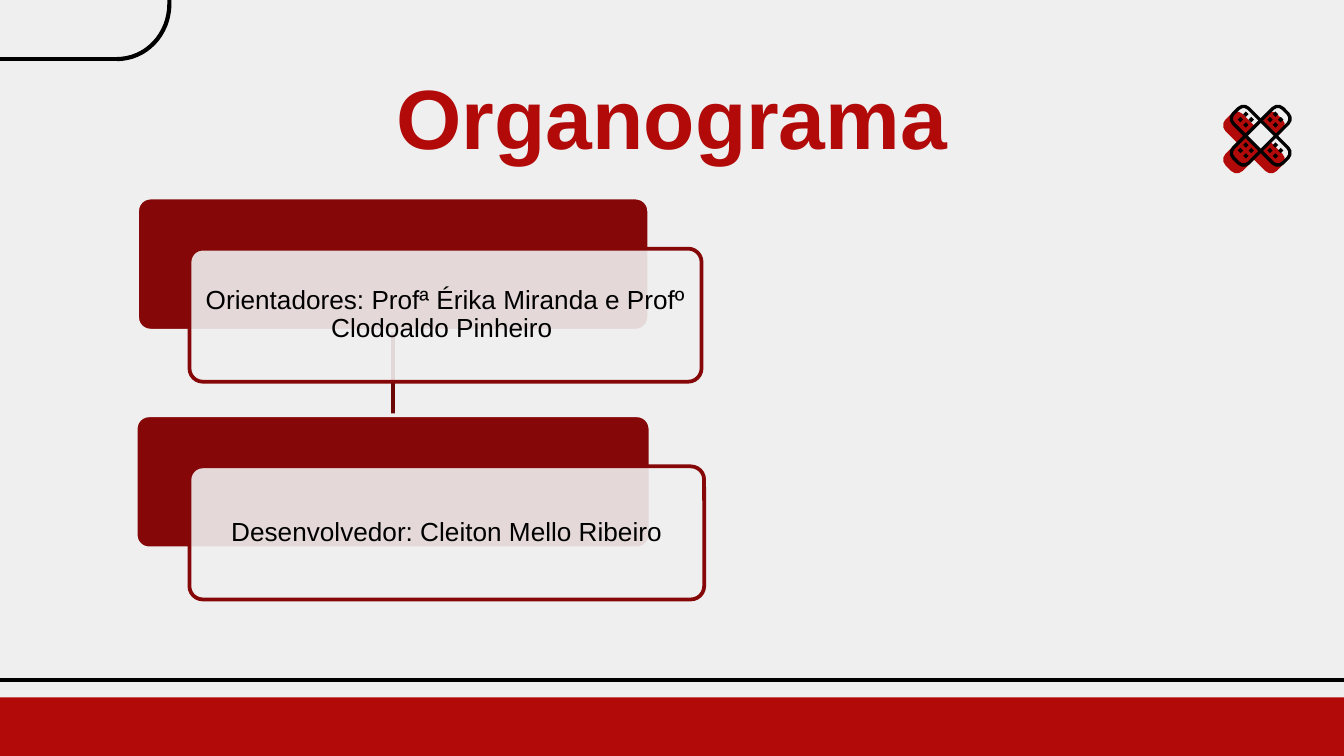
from math import cos, pi, sin

from lxml import etree
from pptx import Presentation
from pptx.dml.color import RGBColor
from pptx.enum import shapes, text
from pptx.oxml import ns
from pptx.util import Inches, Pt

PAPER = RGBColor(0xEF, 0xEF, 0xEF)
RED = RGBColor(0xB2, 0x09, 0x09)
DARK_RED = RGBColor(0x85, 0x07, 0x07)
LINK_RED = RGBColor(0x6B, 0x06, 0x06)
BLACK = RGBColor(0, 0, 0)

deck = Presentation()
deck.slide_width = Inches(10)
deck.slide_height = Inches(10) * 9 // 16
page = deck.slides.add_slide(deck.slide_layouts[6])
page.background.fill.solid()
page.background.fill.fore_color.rgb = PAPER


def add_box(kind, left, top, width, height, fill=None, line=None, weight=2):
    box = page.shapes.add_shape(kind, Inches(left), Inches(top), Inches(width), Inches(height))
    box.shadow.inherit = False
    if fill is None:
        box.fill.background()
    else:
        box.fill.solid()
        box.fill.fore_color.rgb = fill
    if line is None:
        box.line.fill.background()
    else:
        box.line.color.rgb = line
        box.line.width = Pt(weight)
    return box


def add_line(x1, y1, x2, y2, color, weight):
    line = page.shapes.add_connector(
        shapes.MSO_CONNECTOR.STRAIGHT, Inches(x1), Inches(y1), Inches(x2), Inches(y2))
    line.line.color.rgb = color
    line.line.width = Pt(weight)
    etree.SubElement(line._element.spPr, ns.qn("a:effectLst"))
    return line


add_line(0, 0.44, 0.87, 0.44, BLACK, 2.25)
arc = [(0.87 + 0.39 * cos(step * pi / 32), 0.03 + 0.41 * sin(step * pi / 32)) for step in range(17)]
builder = page.shapes.build_freeform(Inches(1.26), Inches(-0.37))
builder.add_line_segments([(Inches(x), Inches(y)) for x, y in arc], close=False)
corner = builder.convert_to_shape()
corner.shadow.inherit = False
corner.fill.background()
corner.line.color.rgb = BLACK
corner.line.width = Pt(2.25)

add_line(-0.04, 5.06, 10.02, 5.06, BLACK, 2.25)
add_box(shapes.MSO_SHAPE.RECTANGLE, -0.04, 5.19, 10.05, 0.46, RED)

title = page.shapes.add_textbox(Inches(0.78), Inches(0.39), Inches(8.44), Inches(0.9))
frame = title.text_frame
frame.word_wrap = True
frame.margin_left = frame.margin_right = frame.margin_top = frame.margin_bottom = Inches(0.1)
para = frame.paragraphs[0]
para.text = "Organograma"
para.alignment = text.PP_ALIGN.CENTER
para.font.name, para.font.size, para.font.bold = "Arial", Pt(45), True
para.font.color.rgb = RED

for center_x, center_y, length, width, fill, line in [
    (9.33, 1.06, 0.54, 0.18, RED, None),
    (9.38, 1.01, 0.52, 0.16, None, BLACK),
]:
    if line is not None:
        pad = add_box(shapes.MSO_SHAPE.RECTANGLE, 9.3, 0.92, 0.16, 0.16, PAPER)
        pad.rotation = 45
    for angle in (45, 135):
        strip = add_box(shapes.MSO_SHAPE.ROUNDED_RECTANGLE, center_x - length / 2,
                        center_y - width / 2, length, width, fill, line, 1.75)
        strip.adjustments[0] = 0.33
        strip.rotation = angle

for center_x in (9.27, 9.49):
    for center_y in (0.89, 1.12):
        for shift_x, shift_y in [(0, -0.04), (0.04, 0), (-0.04, 0), (0, 0.04)]:
            add_box(shapes.MSO_SHAPE.DIAMOND, center_x + shift_x - 0.02,
                    center_y + shift_y - 0.02, 0.04, 0.04, BLACK)

link = add_line(2.93, 2.46, 2.93, 3.09, LINK_RED, 2)
plates = []
for left, top, width, label in [
    (1.02, 1.47, 3.81, "Orientadores: Profª Érika Miranda e Profº Clodoaldo Pinheiro "),
    (1.01, 3.09, 3.83, "Desenvolvedor: Cleiton Mello Ribeiro"),
]:
    plate = add_box(shapes.MSO_SHAPE.ROUNDED_RECTANGLE, left, top, width, 0.99, DARK_RED, PAPER)
    card = add_box(shapes.MSO_SHAPE.ROUNDED_RECTANGLE, 1.41, top + 0.38, width, 0.99, PAPER, DARK_RED)
    plate.adjustments[0] = card.adjustments[0] = 0.1
    plates.append(plate)
    tint = card._element.spPr.find(ns.qn("a:solidFill"))[0]
    etree.SubElement(tint, ns.qn("a:alpha"), val="90000")
    frame = card.text_frame
    frame.word_wrap = True
    frame.vertical_anchor = text.MSO_ANCHOR.MIDDLE
    frame.margin_left = frame.margin_right = frame.margin_top = frame.margin_bottom = Inches(0.06)
    para = frame.paragraphs[0]
    para.text = label
    para.alignment = text.PP_ALIGN.CENTER
    para.line_spacing = 0.9
    para.font.name, para.font.size = "Arial", Pt(14)
    para.font.color.rgb = BLACK

link.begin_connect(plates[0], 2)
link.end_connect(plates[1], 0)

deck.save("out.pptx")
